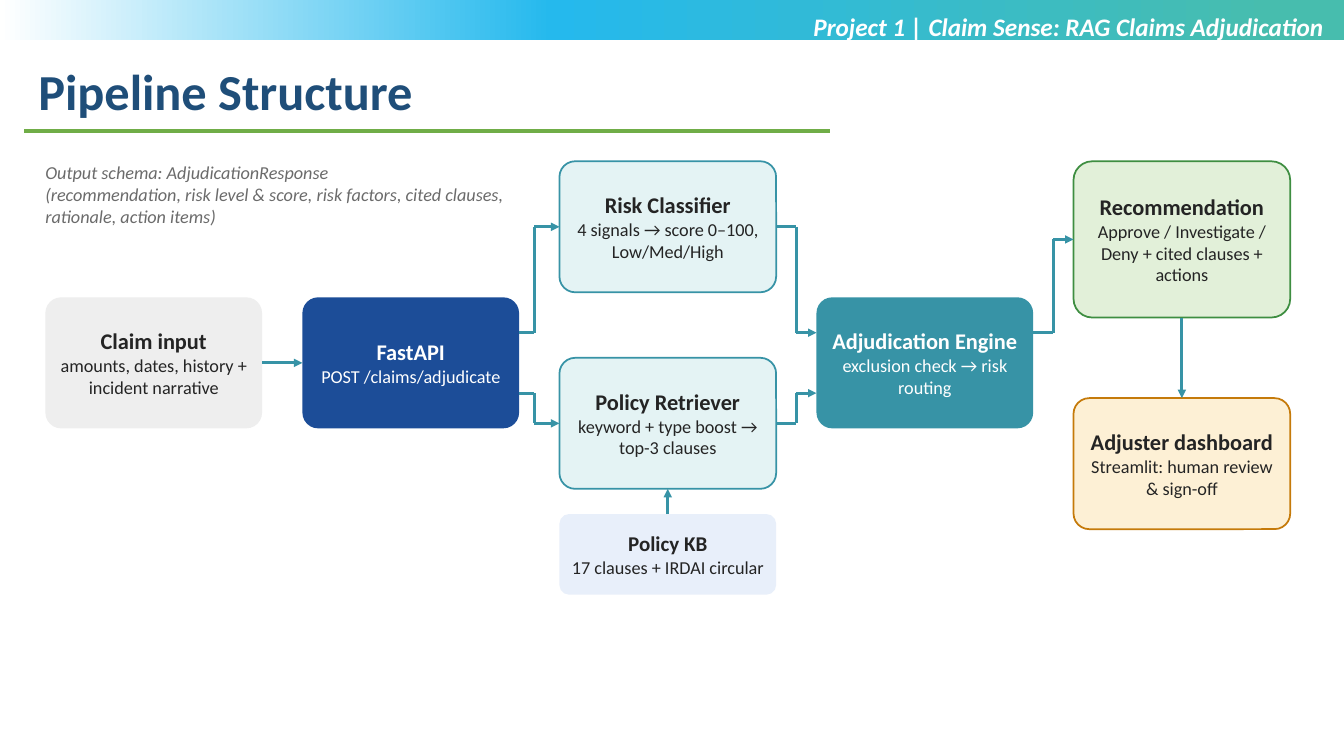
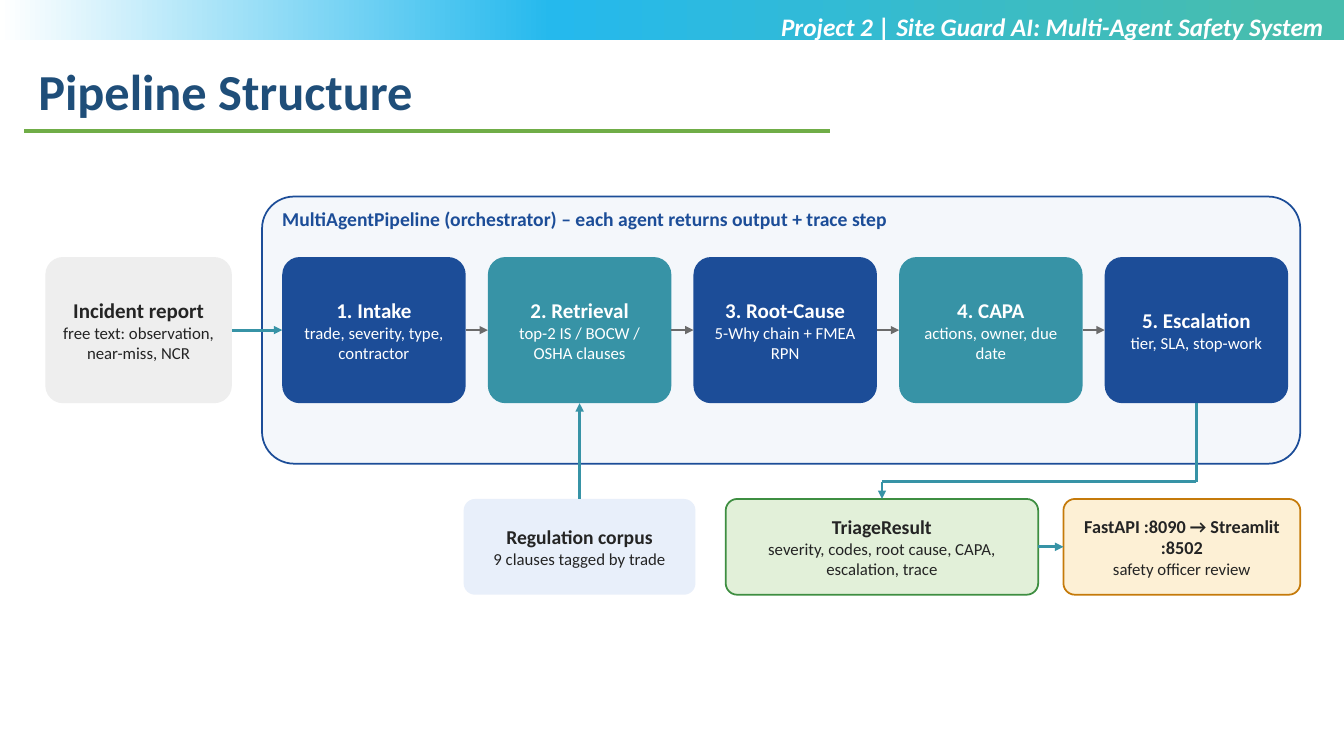
import copy

import pptx
import pptx.dml.color
import pptx.enum.shapes
import pptx.enum.text
import pptx.oxml
import pptx.oxml.ns
import pptx.util

Pt = pptx.util.Pt
RGBColor = pptx.dml.color.RGBColor
SHAPES = pptx.enum.shapes.MSO_SHAPE
ALIGN = pptx.enum.text.PP_ALIGN
ANCHOR = pptx.enum.text.MSO_ANCHOR

# Shared look
FONT = "Calibri"
WHITE = RGBColor(0xFF, 0xFF, 0xFF)
INK = RGBColor(0x24, 0x24, 0x24)
GREY = RGBColor(0x6B, 0x6B, 0x6B)
NAVY = RGBColor(0x1F, 0x4E, 0x79)
BLUE = RGBColor(0x1C, 0x4D, 0x98)
TEAL = RGBColor(0x37, 0x93, 0xA6)
RULE_GREEN = RGBColor(0x70, 0xAD, 0x47)
FRAME_FILL = RGBColor(0xF4, 0xF7, 0xFB)
BAND_STOPS = [
    (0.05, RGBColor(0x47, 0xBD, 0xAE)),
    (0.59, RGBColor(0x25, 0xB9, 0xED)),
    (1.0, WHITE),
]

# Card roles: fill, outline, text colour
ROLES = {
    "input": (RGBColor(0xEE, 0xEE, 0xEE), None, INK),
    "blue": (BLUE, None, WHITE),
    "teal": (TEAL, None, WHITE),
    "pale": (RGBColor(0xE4, 0xF3, 0xF4), TEAL, INK),
    "store": (RGBColor(0xE8, 0xEF, 0xFA), None, INK),
    "result": (RGBColor(0xE2, 0xF0, 0xD9), RGBColor(0x3E, 0x8E, 0x41), INK),
    "review": (RGBColor(0xFD, 0xF0, 0xD5), RGBColor(0xC5, 0x7A, 0x0A), INK),
    "frame": (FRAME_FILL, BLUE, INK),
}

# Connection sites of a rounded rectangle
TOP, LEFT, BOTTOM, RIGHT = range(4)

# Content: claims pipeline (column, top, height, role, heading, detail, heading size)
PAGE_TITLE = "Pipeline Structure"
CLAIMS_HEADER = "Project 1 | Claim Sense: RAG Claims Adjudication"
CLAIMS_CARDS = [
    (0, 212.4, 93.6, "input", "Claim input",
     "amounts, dates, history + incident narrative", 16),
    (1, 212.4, 93.6, "blue", "FastAPI", "POST /claims/adjudicate", 16),
    (2, 115.2, 93.6, "pale", "Risk Classifier",
     "4 signals → score 0–100, Low/Med/High", 16),
    (2, 255.6, 93.6, "pale", "Policy Retriever",
     "keyword + type boost → top-3 clauses", 16),
    (2, 367.2, 57.6, "store", "Policy KB", "17 clauses + IRDAI circular", 15),
    (3, 212.4, 93.6, "teal", "Adjudication Engine",
     "exclusion check → risk routing", 16),
    (4, 115.2, 111.6, "result", "Recommendation",
     "Approve / Investigate / Deny + cited clauses + actions", 16),
    (4, 284.4, 93.6, "review", "Adjuster dashboard",
     "Streamlit: human review & sign-off", 16),
]
CLAIMS_LINKS = [
    ("Claim input", RIGHT, "FastAPI", LEFT),
    ("Policy KB", TOP, "Policy Retriever", BOTTOM),
    ("Recommendation", BOTTOM, "Adjuster dashboard", TOP),
]
# From, offset from its middle, to, offset from its middle, distance to the bend
CLAIMS_ELBOWS = [
    ("FastAPI", -21.6, "Risk Classifier", 0, 10.8),
    ("FastAPI", 21.6, "Policy Retriever", 0, 10.8),
    ("Risk Classifier", 0, "Adjudication Engine", -21.6, 14.4),
    ("Policy Retriever", 0, "Adjudication Engine", 21.6, 14.4),
    ("Adjudication Engine", -21.6, "Recommendation", 0, 14.4),
]
SCHEMA_NOTE = [
    "Output schema: AdjudicationResponse",
    "(recommendation, risk level & score, risk factors, cited clauses, "
    "rationale, action items)",
]

# Content: safety agents
SAFETY_HEADER = "Project 2 | Site Guard AI: Multi-Agent Safety System"
ORCHESTRATOR = ("MultiAgentPipeline (orchestrator) – "
                "each agent returns output + trace step")
INCIDENT = ("Incident report", "free text: observation, near-miss, NCR")
AGENTS = [
    ("1. Intake", "trade, severity, type, contractor"),
    ("2. Retrieval", "top-2 IS / BOCW / OSHA clauses"),
    ("3. Root-Cause", "5-Why chain + FMEA RPN"),
    ("4. CAPA", "actions, owner, due date"),
    ("5. Escalation", "tier, SLA, stop-work"),
]
# Left, width, role, heading, detail, heading size
OUTCOMES = [
    (331.2, 165.6, "store", "Regulation corpus", "9 clauses tagged by trade", 14),
    (518.4, 223.2, "result", "TriageResult",
     "severity, codes, root cause, CAPA, escalation, trace", 14),
    (759.6, 169.2, "review", "FastAPI :8090 → Streamlit :8502",
     "safety officer review", 13),
]


def box(left, top, width, height):
    return Pt(left), Pt(top), Pt(width), Pt(height)


def style(paragraph, size, color, bold=False, italic=False, align=ALIGN.LEFT):
    paragraph.alignment = align
    font = paragraph.font
    font.name, font.size = FONT, Pt(size)
    font.bold, font.italic = bold, italic
    font.color.rgb = color


def add_text(slide, place, lines, size, color, inset=0, **look):
    frame = slide.shapes.add_textbox(*box(*place)).text_frame
    frame.word_wrap = True
    frame.margin_left = frame.margin_right = Pt(inset)
    frame.text = "\n".join(lines)
    for paragraph in frame.paragraphs:
        style(paragraph, size, color, **look)


def add_panel(slide, place, role):
    fill, outline, _ = ROLES[role]
    panel = slide.shapes.add_shape(SHAPES.ROUNDED_RECTANGLE, *box(*place))
    panel.adjustments[0] = 0.12
    panel.shadow.inherit = False
    panel.fill.solid()
    panel.fill.fore_color.rgb = fill
    if outline is None:
        panel.line.fill.background()
    else:
        panel.line.color.rgb = outline
        panel.line.width = Pt(1.25)
    return panel


def add_card(slide, place, role, heading, detail, heading_size, detail_size):
    card = add_panel(slide, place, role)
    frame = card.text_frame
    frame.word_wrap = True
    frame.vertical_anchor = ANCHOR.MIDDLE
    frame.margin_left = frame.margin_right = Pt(5.76)
    frame.margin_top = frame.margin_bottom = Pt(2.88)
    frame.text = f"{heading}\n{detail}"
    color = ROLES[role][2]
    first, second = frame.paragraphs
    style(first, heading_size, color, bold=True, align=ALIGN.CENTER)
    style(second, detail_size, color, align=ALIGN.CENTER)
    return card


def add_line(slide, start, end, color=TEAL, width=2, arrow=False):
    line = slide.shapes.add_connector(
        pptx.enum.shapes.MSO_CONNECTOR.STRAIGHT, *start, *end)
    line.line.color.rgb = color
    line.line.width = Pt(width)
    namespace = pptx.oxml.ns.nsdecls("a")
    if arrow:
        line.line._get_or_add_ln().append(
            pptx.oxml.parse_xml(f'<a:tailEnd {namespace} type="triangle"/>'))
    line._element.spPr.append(pptx.oxml.parse_xml(f"<a:effectLst {namespace}/>"))
    return line


def link(slide, source, source_site, target, target_site, **look):
    arrow = add_line(slide, (0, 0), (0, 0), arrow=True, **look)
    arrow.begin_connect(source, source_site)
    arrow.end_connect(target, target_site)


def add_route(slide, points):
    legs = list(zip(points, points[1:]))
    for start, end in legs:
        add_line(slide, start, end, arrow=end == points[-1])


def middle_x(card):
    return card.left + card.width // 2


def middle_y(card):
    return card.top + card.height // 2


def start_slide(deck, header):
    slide = deck.slides.add_slide(deck.slide_layouts.get_by_name("Title Only"))

    # Gradient band
    band = slide.shapes.add_shape(SHAPES.RECTANGLE, *box(0, 0, 960, 28.8))
    band.shadow.inherit = False
    band.line.fill.background()
    band.fill.gradient()
    band.fill.gradient_angle = 180
    stop_list = band._element.spPr.find(".//" + pptx.oxml.ns.qn("a:gsLst"))
    stop_list.append(copy.deepcopy(stop_list[-1]))
    for stop, (position, color) in zip(band.fill.gradient_stops, BAND_STOPS):
        stop.position = position
        stop.color.rgb = color

    # Title, rule and project header
    title = slide.shapes.title
    title.left, title.top, title.width, title.height = box(20.16, 39.6, 836.64, 51.12)
    title.text_frame.text = PAGE_TITLE
    title.text_frame.auto_size = pptx.enum.text.MSO_AUTO_SIZE.NONE
    title.text_frame.vertical_anchor = ANCHOR.TOP
    style(title.text_frame.paragraphs[0], 36, NAVY, bold=True)
    add_line(slide, (Pt(17.28), Pt(93.6)), (Pt(592.56), Pt(93.6)), RULE_GREEN, 2.25)
    add_text(slide, (302.4, 4.32, 650.16, 51.12), [header], 18, WHITE,
             inset=7.2, bold=True, italic=True, align=ALIGN.RIGHT)
    return slide


def build_claims(deck):
    slide = start_slide(deck, CLAIMS_HEADER)
    card_width, gap = 154.8, 28.8
    cards = {}
    for column, top, height, role, heading, detail, size in CLAIMS_CARDS:
        place = (32.4 + column * (card_width + gap), top, card_width, height)
        cards[heading] = add_card(slide, place, role, heading, detail, size, 13)

    for source, source_site, target, target_site in CLAIMS_LINKS:
        link(slide, cards[source], source_site, cards[target], target_site)
    for source, rise, target, drop, bend in CLAIMS_ELBOWS:
        sender, receiver = cards[source], cards[target]
        start_x = sender.left + sender.width
        start_y = middle_y(sender) + Pt(rise)
        end_y = middle_y(receiver) + Pt(drop)
        bend_x = start_x + Pt(bend)
        add_route(slide, [(start_x, start_y), (bend_x, start_y),
                          (bend_x, end_y), (receiver.left, end_y)])
    add_text(slide, (32.4, 111.6, 331.2, 86.4), SCHEMA_NOTE, 13, GREY, italic=True)


def build_safety(deck):
    slide = start_slide(deck, SAFETY_HEADER)
    agent_top, agent_height, agent_width, gap = 183.6, 104.4, 131.04, 15.84
    incident = add_card(slide, (32.4, agent_top, 133.2, agent_height),
                        "input", *INCIDENT, 15, 12)

    # Orchestrator frame and its agents
    add_panel(slide, (187.2, 140.4, 741.6, 190.8), "frame")
    add_text(slide, (201.6, 144, 712.8, 25.2), [ORCHESTRATOR], 14, BLUE, bold=True)
    agents = []
    for index, (heading, detail) in enumerate(AGENTS):
        place = (201.6 + index * (agent_width + gap), agent_top,
                 agent_width, agent_height)
        role = ("blue", "teal")[index % 2]
        agents.append(add_card(slide, place, role, heading, detail, 15, 12))
    for sender, receiver in zip(agents, agents[1:]):
        link(slide, sender, RIGHT, receiver, LEFT, color=GREY, width=1.75)
    link(slide, incident, RIGHT, agents[0], LEFT)

    # Corpus, result and review
    corpus, triage, review = [
        add_card(slide, (left, 356.4, width, 68.4), role, heading, detail, size, 12)
        for left, width, role, heading, detail, size in OUTCOMES]
    link(slide, corpus, TOP, agents[1], BOTTOM)
    link(slide, triage, RIGHT, review, LEFT)
    escalation = agents[-1]
    start_x, end_x, bend_y = middle_x(escalation), middle_x(triage), Pt(344.16)
    add_route(slide, [(start_x, escalation.top + escalation.height),
                      (start_x, bend_y), (end_x, bend_y), (end_x, triage.top)])


def main():
    deck = pptx.Presentation()
    deck.slide_width, deck.slide_height = Pt(960), Pt(540)
    build_claims(deck)
    build_safety(deck)
    deck.save("out.pptx")


if __name__ == "__main__":
    main()
